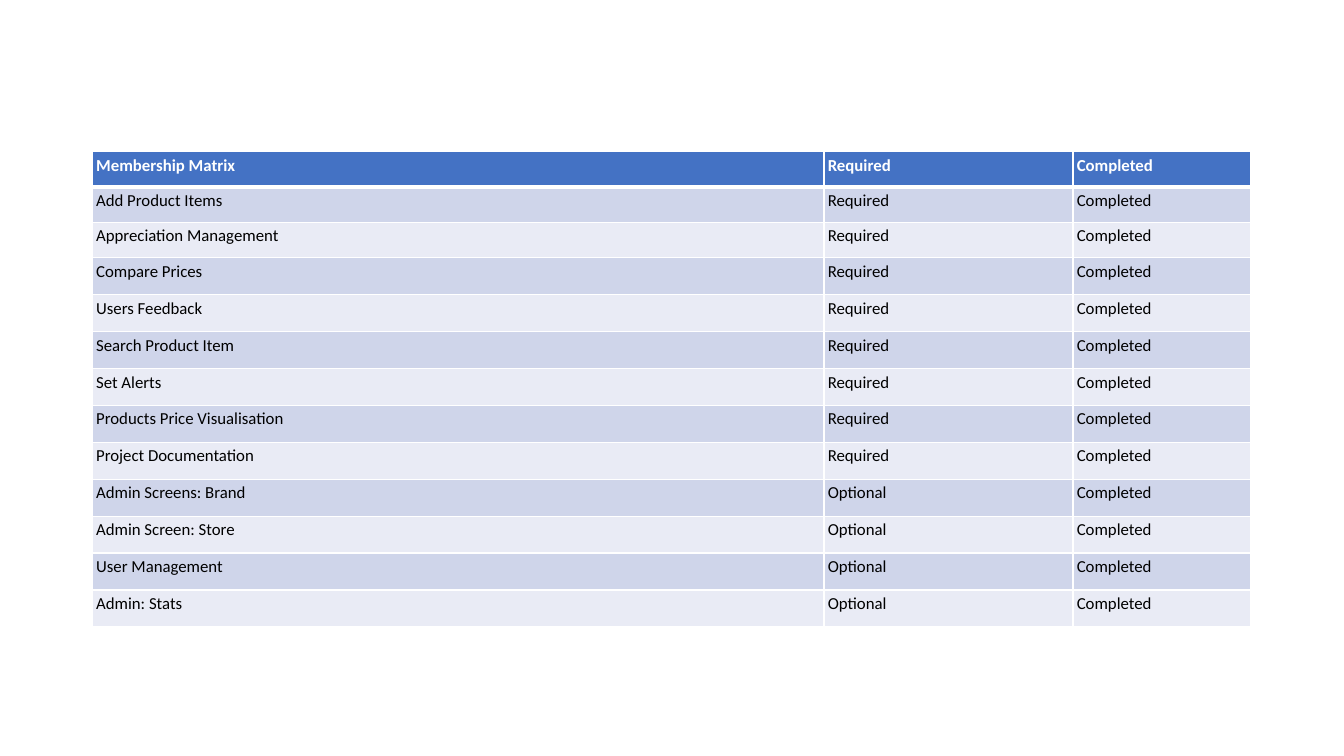
from pptx import Presentation
from pptx.dml.color import RGBColor
from pptx.oxml import parse_xml
from pptx.oxml.ns import nsdecls
from pptx.util import Pt

WHITE = RGBColor(0xFF, 0xFF, 0xFF)
BLACK = RGBColor(0x00, 0x00, 0x00)
HEADER_BLUE = RGBColor(0x44, 0x72, 0xC4)
BAND_DARK = RGBColor(0xCF, 0xD5, 0xEA)
BAND_LIGHT = RGBColor(0xE9, 0xEB, 0xF5)

HEADINGS = ("Membership Matrix", "Required", "Completed")
REQUIRED_FEATURES = (
    "Add Product Items",
    "Appreciation Management",
    "Compare Prices",
    "Users Feedback",
    "Search Product Item",
    "Set Alerts",
    "Products Price Visualisation",
    "Project Documentation",
)
OPTIONAL_FEATURES = (
    "Admin Screens: Brand",
    "Admin Screen: Store",
    "User Management",
    "Admin: Stats",
)
COLUMN_WIDTHS = (522.6, 177.9, 126.9)
ROW_HEIGHTS = (25.2,) * 3 + (26.4,) * 10
CELL_MARGIN = Pt(2.7)


def write_text(frame, text, size=12, color=BLACK, bold=False, font="Calibri"):
    run = frame.paragraphs[0].add_run()
    run.text = text
    run.font.name = font
    run.font.size = Pt(size)
    run.font.bold = bold
    run.font.color.rgb = color


def add_borders(cell, color=WHITE, **widths):
    properties = cell._tc.get_or_add_tcPr()
    for side in "LRTB":
        width = Pt(widths.get(side, 1))
        properties.append(parse_xml(
            f'<a:ln{side} {nsdecls("a")} w="{width}"><a:solidFill>'
            f'<a:srgbClr val="{color}"/></a:solidFill></a:ln{side}>'
        ))


def fill_cell(cell, text, background, borders, **text_format):
    cell.margin_left = cell.margin_right = CELL_MARGIN
    cell.margin_top = cell.margin_bottom = CELL_MARGIN
    add_borders(cell, **borders)
    cell.fill.solid()
    cell.fill.fore_color.rgb = background
    write_text(cell.text_frame, text, **text_format)


def row_style(index):
    if index == 0:
        return {"background": HEADER_BLUE, "borders": {"B": 3},
                "color": WHITE, "bold": True}
    return {"background": BAND_DARK if index % 2 else BAND_LIGHT,
            "borders": {"T": 3} if index == 1 else {}}


def add_matrix(slide, entries, left, top):
    matrix = slide.shapes.add_table(
        len(entries), len(HEADINGS), Pt(left), Pt(top),
        Pt(sum(COLUMN_WIDTHS)), Pt(sum(ROW_HEIGHTS)),
    ).table
    for column, width in zip(matrix.columns, COLUMN_WIDTHS):
        column.width = Pt(width)
    for index, (row, height, entry) in enumerate(
            zip(matrix.rows, ROW_HEIGHTS, entries)):
        row.height = Pt(height)
        for cell, text in zip(row.cells, entry):
            fill_cell(cell, text, **row_style(index))


def main():
    deck = Presentation()
    deck.slide_width, deck.slide_height = Pt(960), Pt(540)
    slide = deck.slides.add_slide(deck.slide_layouts[6])
    entries = [HEADINGS]
    entries += [(name, "Required", "Completed") for name in REQUIRED_FEATURES]
    entries += [(name, "Optional", "Completed") for name in OPTIONAL_FEATURES]
    add_matrix(slide, entries, left=66, top=108.3)
    deck.save("out.pptx")


if __name__ == "__main__":
    main()
